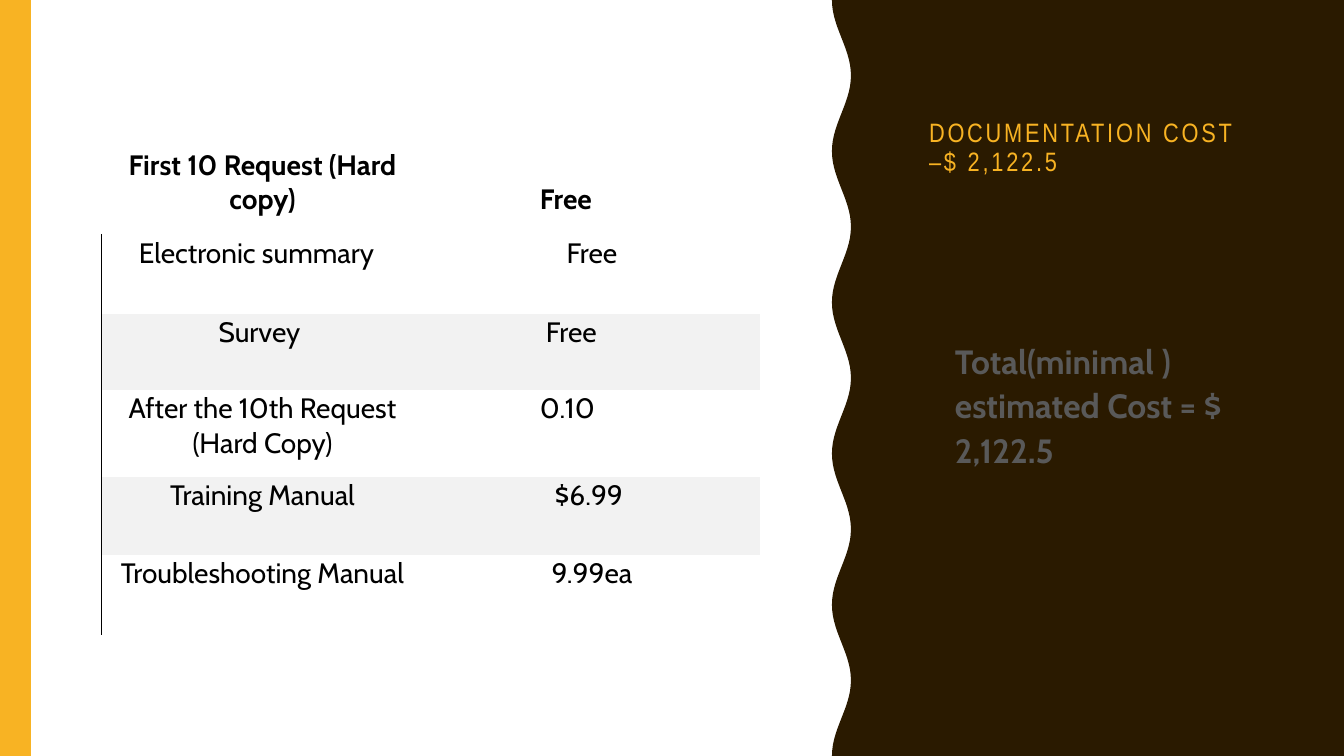
"""Builds the documentation cost slide: a price table beside a wavy dark panel."""
import math
from dataclasses import dataclass

from lxml import etree
from pptx import Presentation
from pptx.dml.color import RGBColor
from pptx.enum.shapes import MSO_SHAPE
from pptx.enum.text import MSO_ANCHOR, MSO_AUTO_SIZE, PP_ALIGN
from pptx.oxml.ns import qn
from pptx.util import Emu, Pt

RECTANGLE = MSO_SHAPE.RECTANGLE
TOP, BOTTOM = MSO_ANCHOR.TOP, MSO_ANCHOR.BOTTOM
LEFT, CENTER = PP_ALIGN.LEFT, PP_ALIGN.CENTER
NO_AUTOFIT = MSO_AUTO_SIZE.NONE

WIDTH, HEIGHT = 1344, 756
EMU_PER_PX = 12192000 / WIDTH
TITLE_ONLY = 5
PLAIN_TABLE = "{2D5ABB26-0587-4C30-8999-92F81FD0307C}"


@dataclass(frozen=True)
class Theme:
    """Colours, fonts and type sizes of the slide."""
    gold: str = "F8B323"
    brown: str = "2A1A00"
    grey: str = "595959"
    band: str = "F2F2F2"
    black: str = "000000"
    title_font: str = "Arial Narrow"
    body_font: str = "Cabin"
    title_size: int = 19
    table_size: int = 20
    total_size: int = 24


@dataclass(frozen=True)
class Entry:
    """Text of one table cell with its alignment and side insets in px."""
    text: str
    align: PP_ALIGN = CENTER
    left: int = 8
    right: int = 8


def px(length):
    """Turn px into EMU."""
    return Emu(round(length * EMU_PER_PX))


class SlideBuilder:
    """Draws the elements of one slide in one theme."""

    def __init__(self, slide, theme):
        self.slide = slide
        self.theme = theme

    def paint(self, shape, color):
        """Give a shape a flat fill without line or shadow."""
        shape.shadow.inherit = False
        shape.fill.solid()
        shape.fill.fore_color.rgb = RGBColor.from_string(color)
        shape.line.fill.background()

    def bar(self, x, y, width, height, color):
        """Add a plain rectangle."""
        box = px(x), px(y), px(width), px(height)
        self.paint(self.slide.shapes.add_shape(RECTANGLE, *box), color)

    def wavy_panel(self, trough, crest, waves, color):
        """Add a panel to the right edge whose left side is a cosine wave."""
        steps = waves * 28
        middle, swing = (trough + crest) / 2, (crest - trough) / 2
        edge = [
            (px(middle - swing * math.cos(2 * math.pi * waves * step / steps)),
             px(HEIGHT * step / steps))
            for step in range(steps, -1, -1)
        ]
        outline = self.slide.shapes.build_freeform(px(WIDTH), 0)
        outline.add_line_segments([(px(WIDTH), px(HEIGHT)), *edge])
        self.paint(outline.convert_to_shape(), color)

    def add_text(self, frame, text, font, size, color, align=LEFT, bold=False, spacing=None):
        """Put one run into the first paragraph of a text frame."""
        frame.word_wrap = True
        paragraph = frame.paragraphs[0]
        paragraph.alignment = align
        if spacing:
            paragraph.line_spacing = spacing
        run = paragraph.add_run()
        run.text = text
        run.font.name = font
        run.font.size = Pt(size)
        run.font.bold = bold
        run.font.color.rgb = RGBColor.from_string(color)
        return run

    def title(self, x, y, width, height, text):
        """Place the title placeholder in front and fill it."""
        heading = self.slide.shapes.title
        heading.element.getparent().append(heading.element)
        heading.left, heading.top = px(x), px(y)
        heading.width, heading.height = px(width), px(height)
        frame = heading.text_frame
        frame.auto_size = NO_AUTOFIT
        frame.vertical_anchor = BOTTOM
        look = self.theme
        run = self.add_text(frame, text, look.title_font, look.title_size, look.gold,
                            spacing=0.9)
        run.font._element.set("spc", "200")

    def total(self, x, y, width, height, text, inset_left, inset_top):
        """Add the total as a bold text box."""
        box = self.slide.shapes.add_textbox(px(x), px(y), px(width), px(height))
        frame = box.text_frame
        frame.margin_left, frame.margin_top = px(inset_left), px(inset_top)
        look = self.theme
        self.add_text(frame, text, look.body_font, look.total_size, look.grey,
                      bold=True, spacing=1.1)

    def left_border(self, cell):
        """Draw a thin line down the left side of a cell."""
        properties = cell._tc.get_or_add_tcPr()
        line = etree.Element(qn("a:lnL"), w=str(Pt(0.75)))
        fill = etree.SubElement(line, qn("a:solidFill"))
        etree.SubElement(fill, qn("a:srgbClr"), val=self.theme.black)
        properties.insert(0, line)

    def cell(self, cell, entry, is_head, is_band):
        """Fill and format one table cell."""
        cell.margin_left, cell.margin_right = px(entry.left), px(entry.right)
        cell.margin_top, cell.margin_bottom = px(2), px(17)
        cell.vertical_anchor = BOTTOM if is_head else TOP
        if is_band:
            cell.fill.solid()
            cell.fill.fore_color.rgb = RGBColor.from_string(self.theme.band)
        else:
            cell.fill.background()
        look = self.theme
        self.add_text(cell.text_frame, entry.text, look.body_font, look.table_size,
                      look.black, entry.align, is_head)

    def price_table(self, x, y, columns, heights, prices):
        """Add the price table with grey bands and a rule on the left."""
        frame = self.slide.shapes.add_table(
            len(prices), len(columns), px(x), px(y), px(sum(columns)), px(sum(heights)))
        table = frame.table
        table.first_row = table.horz_banding = False
        next(frame.element.iter(qn("a:tableStyleId"))).text = PLAIN_TABLE
        for column, width in zip(table.columns, columns):
            column.width = px(width)
        for index, (height, entries) in enumerate(zip(heights, prices)):
            table.rows[index].height = px(height)
            for position, entry in enumerate(entries):
                self.cell(table.cell(index, position), entry, index == 0, index in (2, 4))
            if index:
                self.left_border(table.cell(index, 0))


PRICES = [
    (Entry("First 10 Request (Hard copy)"), Entry("Free", LEFT, left=116)),
    (Entry("Electronic summary", right=20), Entry("Free")),
    (Entry("Survey", right=14), Entry("Free", LEFT, left=122)),
    (Entry("After the 10th Request (Hard Copy)"), Entry("0.10", LEFT, left=116)),
    (Entry("Training Manual"), Entry("$6.99", right=14)),
    (Entry("Troubleshooting Manual"), Entry("9.99ea")),
]


def main():
    """Build and save the slide."""
    deck = Presentation()
    deck.slide_width, deck.slide_height = px(WIDTH), px(HEIGHT)
    theme = Theme()
    builder = SlideBuilder(deck.slides.add_slide(deck.slide_layouts[TITLE_ONLY]), theme)
    builder.bar(0, 0, 31, HEIGHT, theme.gold)
    builder.wavy_panel(832, 851, 5, theme.brown)
    builder.title(919, 50, 341, 132, "DOCUMENTATION COST –$ 2,122.5")
    builder.total(919, 182, 341, 466, "Total(minimal ) estimated Cost = $ 2,122.5", 36, 155)
    builder.price_table(101, 91, [323, 336], [143, 80, 76, 87, 78, 80], PRICES)
    deck.save("out.pptx")


if __name__ == "__main__":
    main()
